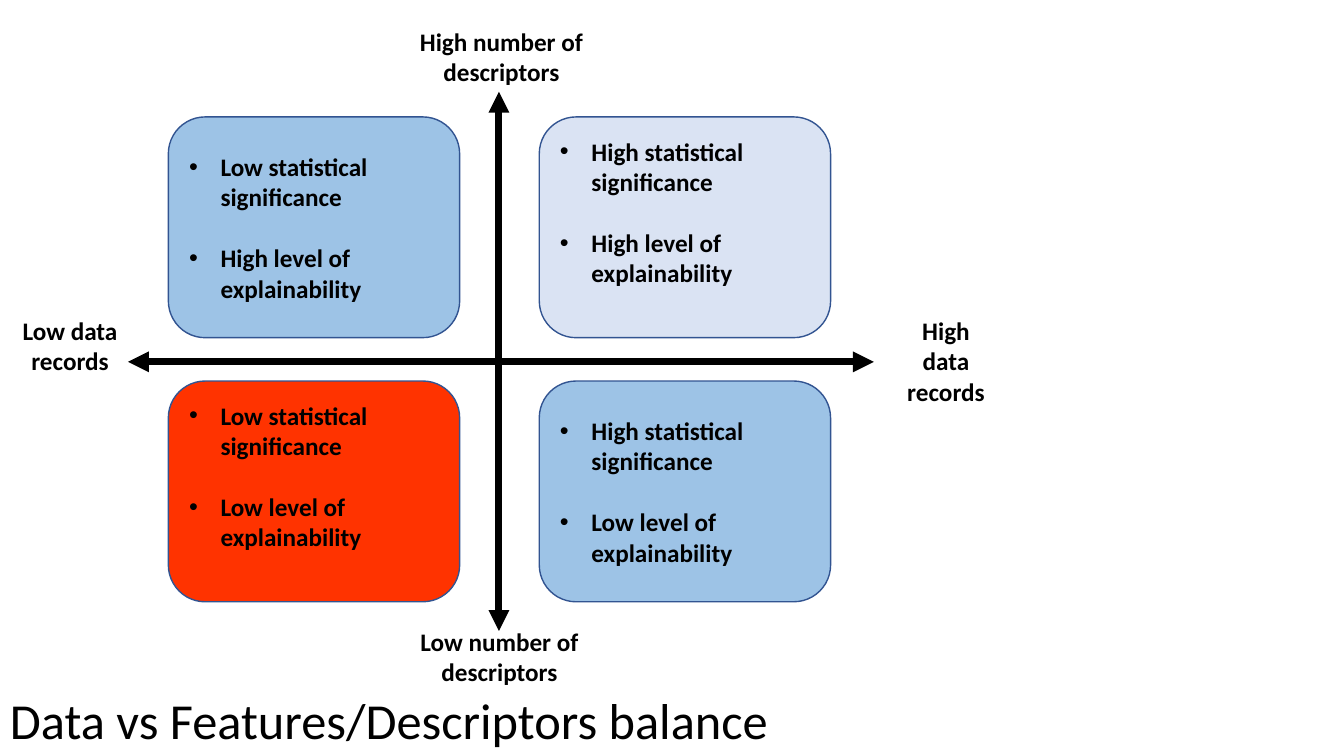
from lxml import etree
from pptx import Presentation
from pptx.dml.color import RGBColor
from pptx.enum.shapes import MSO_CONNECTOR, MSO_SHAPE
from pptx.enum.text import MSO_ANCHOR, PP_ALIGN
from pptx.oxml.ns import qn
from pptx.util import Pt

STRAIGHT = MSO_CONNECTOR.STRAIGHT
ROUNDED = MSO_SHAPE.ROUNDED_RECTANGLE
MIDDLE = MSO_ANCHOR.MIDDLE
LEFT = PP_ALIGN.LEFT
CENTER = PP_ALIGN.CENTER

BLACK = RGBColor(0x00, 0x00, 0x00)
RED = RGBColor(0xFF, 0x33, 0x00)
BLUE = RGBColor(0x9D, 0xC3, 0xE6)
PALE_BLUE = RGBColor(0xDA, 0xE3, 0xF3)
OUTLINE = RGBColor(0x32, 0x54, 0x91)

FONT = "Calibri"
LINE_HEIGHT = 22
INDENT = 22.5
COLUMNS = {"Low": 120.24, "High": 385.2}
ROWS = {"High": 83.52, "Low": 272.16}
BOX_WIDTH, BOX_HEIGHT = 208.1, 157.7


def write(paragraph, text, size=18, bold=True, align=CENTER, bullet=False, space_before=0):
    paragraph.alignment = align
    if space_before:
        paragraph.space_before = Pt(space_before)
    if bullet:
        properties = paragraph._p.get_or_add_pPr()
        properties.set("marL", str(Pt(INDENT)))
        properties.set("indent", str(-Pt(INDENT)))
        etree.SubElement(properties, qn("a:buFont")).set("typeface", "Arial")
        etree.SubElement(properties, qn("a:buChar")).set("char", "•")
    run = paragraph.add_run()
    run.text = text
    run.font.name = FONT
    run.font.size = Pt(size)
    run.font.bold = bold
    run.font.color.rgb = BLACK


def add_label(slide, text, left, top, width, height, wrap=True, **text_format):
    box = slide.shapes.add_textbox(Pt(left), Pt(top), Pt(width), Pt(height))
    box.text_frame.word_wrap = wrap
    write(box.text_frame.paragraphs[0], text, **text_format)


def add_axis(slide, begin_x, begin_y, end_x, end_y):
    axis = slide.shapes.add_connector(STRAIGHT, Pt(begin_x), Pt(begin_y), Pt(end_x), Pt(end_y))
    axis.line.color.rgb = BLACK
    axis.line.width = Pt(5)
    line = axis.line._get_or_add_ln()
    for end in ("a:headEnd", "a:tailEnd"):
        etree.SubElement(line, qn(end)).set("type", "triangle")
    etree.SubElement(axis._element.spPr, qn("a:effectLst"))


def add_quadrant(slide, records, descriptors, color, raised):
    shape = slide.shapes.add_shape(
        ROUNDED, Pt(COLUMNS[records]), Pt(ROWS[descriptors]), Pt(BOX_WIDTH), Pt(BOX_HEIGHT))
    shape.shadow.inherit = False
    shape.fill.solid()
    shape.fill.fore_color.rgb = color
    shape.line.color.rgb = OUTLINE
    shape.line.width = Pt(1)
    frame = shape.text_frame
    frame.word_wrap = True
    frame.vertical_anchor = MIDDLE
    if raised:
        frame.margin_bottom = Pt(3.6 + LINE_HEIGHT)
    write(frame.paragraphs[0], f"{records} statistical significance", align=LEFT, bullet=True)
    write(frame.add_paragraph(), f"{descriptors} level of explainability",
          align=LEFT, bullet=True, space_before=LINE_HEIGHT)


def main():
    presentation = Presentation()
    presentation.slide_width = Pt(960)
    presentation.slide_height = Pt(540)
    slide = presentation.slides.add_slide(presentation.slide_layouts[6])

    add_axis(slide, 91.44, 258.48, 624.24, 258.48)
    add_axis(slide, 356.4, 65.52, 356.4, 450.72)

    add_label(slide, "Low data records", 8.64, 221.76, 82.8, 72.7)
    add_label(slide, "High data records", 634.32, 221.76, 82.8, 72.7)
    add_label(slide, "Low number of descriptors", 283.68, 443.52, 146.2, 50.9)
    add_label(slide, "High number of descriptors", 285.12, 15.12, 146.2, 50.9)

    add_quadrant(slide, "Low", "Low", RED, raised=True)
    add_quadrant(slide, "Low", "High", BLUE, raised=False)
    add_quadrant(slide, "High", "High", PALE_BLUE, raised=True)
    add_quadrant(slide, "High", "Low", BLUE, raised=False)

    add_label(slide, "Data vs Features/Descriptors balance", 0, 489, 558, 51,
              wrap=False, size=36, bold=False, align=LEFT)
    presentation.save("out.pptx")


if __name__ == "__main__":
    main()
